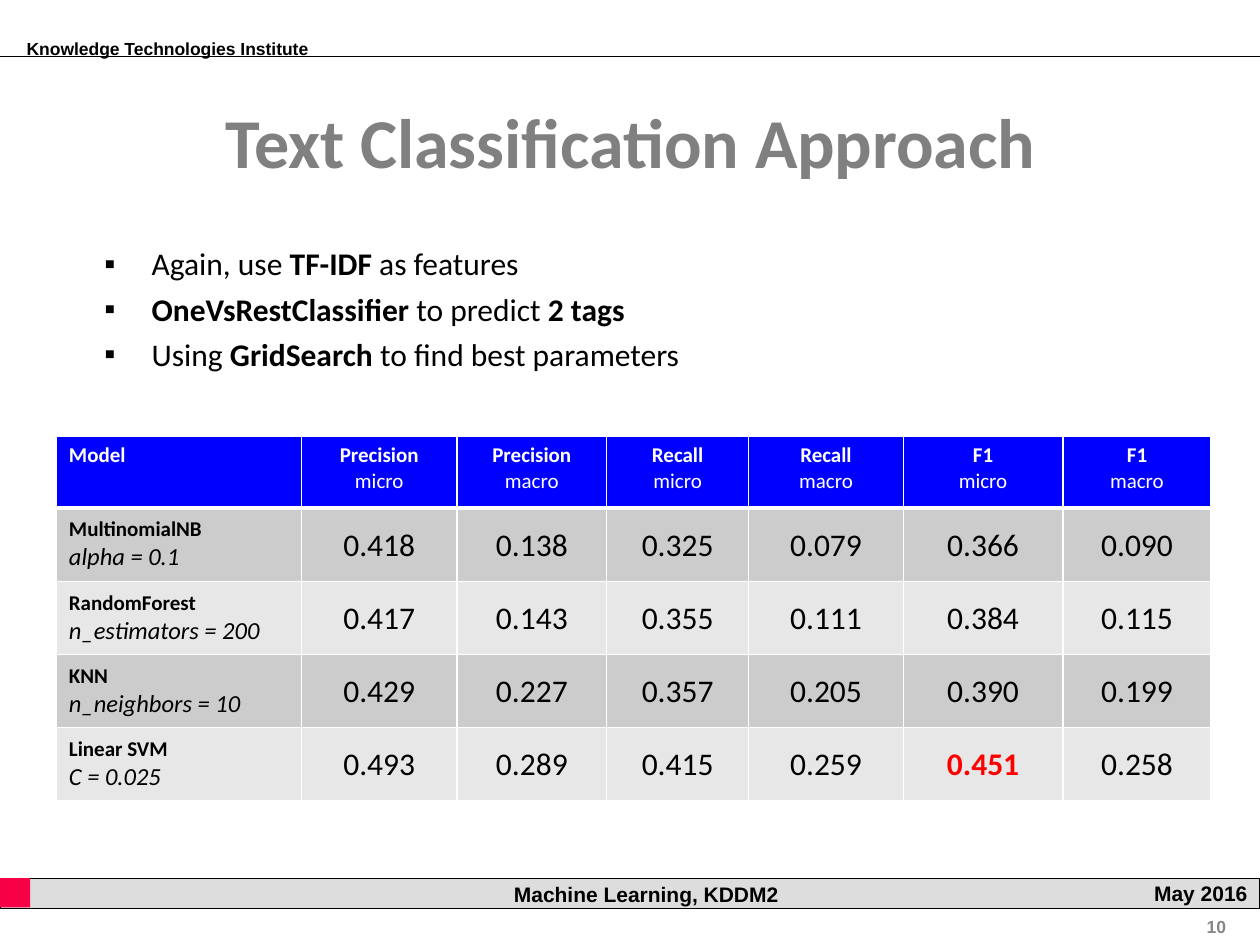
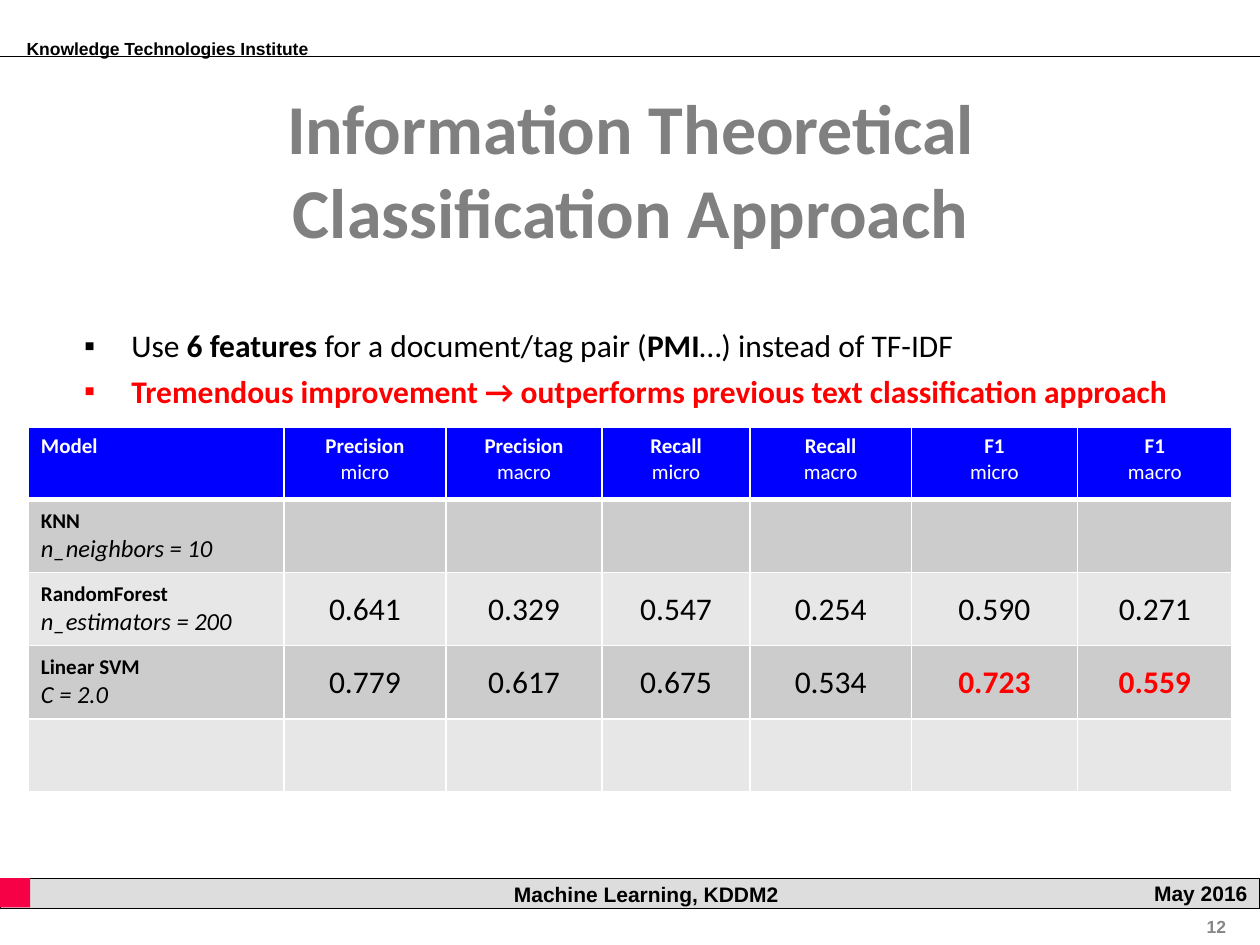
from pptx import Presentation
from pptx.dml.color import RGBColor as RGB
from pptx.enum.shapes import MSO_CONNECTOR as LINK, MSO_SHAPE as SHAPE
from pptx.enum.text import MSO_ANCHOR as ANCHOR, PP_ALIGN as ALIGN
from pptx.oxml.ns import qn
from pptx.util import Pt
from lxml.etree import SubElement

BLACK = RGB(0, 0, 0)
WHITE = RGB(255, 255, 255)
GRAY = RGB(0x80, 0x80, 0x80)
PALE = RGB(0x87, 0x87, 0x87)
BAR = RGB(0xDD, 0xDD, 0xDD)
PINK = RGB(0xF7, 0x01, 0x46)
BLUE = RGB(0, 0, 255)
RED = RGB(255, 0, 0)
BANDS = RGB(0xCC, 0xCC, 0xCC), RGB(0xE7, 0xE7, 0xE7)

COLS = 140.4, 89.2, 85.7, 81.4, 88.6, 91.4, 85
HEAD = ["Model"] + [f"{name}\n{kind}" for name in ("Precision", "Recall", "F1")
                    for kind in ("micro", "macro")]

SLIDES = [
    dict(
        page="10", title="Text Classification Approach",
        name_box=(36.7, 38.2, 647.3, 84.2),
        list_box=(52.6, 131.8, 564.5, 85), grid_box=(32.2, 249.4, 660, 208.2),
        items=[
            ("Again, use **TF-IDF** as features", BLACK),
            ("**OneVsRestClassifier** to predict **2 tags**", BLACK),
            ("Using **GridSearch** to find best parameters", BLACK),
        ],
        rows=[
            ("MultinomialNB\nalpha = 0.1", "0.418 0.138 0.325 0.079 0.366 0.090"),
            ("RandomForest\nn_estimators = 200", "0.417 0.143 0.355 0.111 0.384 0.115"),
            ("KNN\nn_neighbors = 10", "0.429 0.227 0.357 0.205 0.390 0.199"),
            ("Linear SVM\nC = 0.025", "0.493 0.289 0.415 0.259 *0.451 0.258"),
        ],
    ),
    dict(
        page="12", title="Information Theoretical\vClassification Approach",
        name_box=(36.7, 54, 647.3, 84.2),
        list_box=(41, 178.6, 651.6, 59), grid_box=(16.2, 244.4, 688, 208.2),
        items=[
            ("Use **6 features** for a document/tag pair (**PMI**…) instead of TF-IDF", BLACK),
            ("**Tremendous improvement → outperforms previous text "
             "classification approach**", RED),
        ],
        rows=[
            ("KNN\nn_neighbors = 10", ""),
            ("RandomForest\nn_estimators = 200", "0.641 0.329 0.547 0.254 0.590 0.271"),
            ("Linear SVM\nC = 2.0", "0.779 0.617 0.675 0.534 *0.723 *0.559"),
            ("", ""),
        ],
    ),
]


def style(para, face, size, color, bold=None, align=ALIGN.LEFT):
    """Set the font and alignment of a paragraph."""
    para.alignment = align
    font = para.font
    font.name, font.size, font.bold = face, Pt(size), bold
    font.color.rgb = color


def label(slide, box, text, size, color=BLACK, align=ALIGN.LEFT):
    """Add a bold one-line text box and return its frame."""
    frame = slide.shapes.add_textbox(*map(Pt, box)).text_frame
    frame.word_wrap = True
    frame.text = text
    style(frame.paragraphs[0], "Arial", size, color, True, align)
    return frame


def block(slide, box, color):
    """Add a plain filled rectangle."""
    shape = slide.shapes.add_shape(SHAPE.RECTANGLE, *map(Pt, box))
    shape.shadow.inherit = False
    shape.fill.solid()
    shape.fill.fore_color.rgb = color
    shape.line.fill.background()
    return shape


def header(slide, box):
    """Draw the institute name above a full-width rule."""
    left, top, width, height = box
    base = top + height
    rule = slide.shapes.add_connector(
        LINK.STRAIGHT, Pt(left), Pt(base), Pt(left + width), Pt(base))
    rule.line.color.rgb = BLACK
    rule.line.width = Pt(0.75)
    SubElement(rule._element.spPr, qn("a:effectLst"))
    frame = label(slide, (left + 9.4, base - 14.4, 176.4, 19.4),
                  "Knowledge Technologies Institute", 10)
    frame.margin_left = Pt(5.8)
    frame.word_wrap = False


def footer(slide, box, page):
    """Draw the bottom band with date, course and page number."""
    left, top, width, height = box
    band = block(slide, box, BAR)
    band.line.color.rgb = BLACK
    band.line.width = Pt(0.5)
    frame = band.text_frame
    frame.text = "May 2016"
    frame.vertical_anchor = ANCHOR.MIDDLE
    style(frame.paragraphs[0], "Arial", 12, BLACK, True, ALIGN.RIGHT)
    block(slide, (left, top, height, height - 0.5), PINK)
    label(slide, (left + 252.7, top - 1.4, 233.3, height),
          "Machine Learning, KDDM2", 12, align=ALIGN.CENTER)
    label(slide, (left + width - 85, top + 18, 72.7, 19.4),
          page, 10, PALE, ALIGN.RIGHT)


def heading(slide, box, text):
    """Place and format the title."""
    title = slide.shapes.title
    title.left, title.top, title.width, title.height = map(Pt, box)
    frame = title.text_frame
    frame.text = text
    frame.word_wrap = True
    frame.vertical_anchor = ANCHOR.MIDDLE
    style(frame.paragraphs[0], "Calibri", 40, GRAY, True, ALIGN.CENTER)


def bullets(slide, box, items):
    """Write bulleted lines, with bold parts between double stars."""
    frame = slide.shapes.add_textbox(*map(Pt, box)).text_frame
    frame.word_wrap = True
    for i, (text, color) in enumerate(items):
        para = frame.add_paragraph() if i else frame.paragraphs[0]
        para.line_spacing = 1.2
        props = para._p.get_or_add_pPr()
        props.set("marL", str(Pt(27)))
        props.set("indent", str(-Pt(27)))
        SubElement(props, qn("a:buFont"), typeface="Arial")
        SubElement(props, qn("a:buChar"), char="▪")
        style(para, "Calibri", 18, color)
        for j, part in enumerate(text.split("**")):
            if part:
                run = para.add_run()
                run.text = part
                run.font.bold = j % 2 == 1


def paint(cell, color, above=1, below=1):
    """Give a cell its white borders and its fill."""
    props = cell._tc.get_or_add_tcPr()
    for side, width in zip("LRTB", (1, 1, above, below)):
        line = SubElement(props, qn(f"a:ln{side}"), w=str(Pt(width)))
        fill = SubElement(line, qn("a:solidFill"))
        SubElement(fill, qn("a:srgbClr"), val=str(WHITE))
    cell.fill.solid()
    cell.fill.fore_color.rgb = color


def pair(cell, text, color, align=ALIGN.LEFT, size=12, slant=False):
    """Write a bold line with a lighter second line below it."""
    para = cell.text_frame.paragraphs[0]
    style(para, "Calibri", 12, color, align=align)
    for i, part in enumerate(text.split("\n")):
        if i:
            para.add_line_break()
        run = para.add_run()
        run.text = part
        run.font.bold = i == 0
        if i:
            run.font.size, run.font.italic = Pt(size), slant


def score(cell, text):
    """Write a centred value, red and bold where starred."""
    cell.margin_left = cell.margin_right = cell.margin_top = Pt(0.7)
    cell.margin_bottom = 0
    best = text.startswith("*")
    cell.text = text.lstrip("*")
    style(cell.text_frame.paragraphs[0], "Calibri", 18,
          RED if best else BLACK, best, ALIGN.CENTER)


def grid(slide, box, rows):
    """Build the table of model scores."""
    table = slide.shapes.add_table(len(rows) + 1, len(COLS), *map(Pt, box)).table
    for col, width in zip(table.columns, COLS):
        col.width = Pt(round(width * box[2] / sum(COLS), 2))
    for i, row in enumerate(table.rows):
        row.height = Pt(41.8 if i else 41)
    for j, text in enumerate(HEAD):
        cell = table.cell(0, j)
        paint(cell, BLUE, below=3)
        pair(cell, text, WHITE, ALIGN.CENTER if j else ALIGN.LEFT)
    for i, (model, values) in enumerate(rows, 1):
        for j in range(len(COLS)):
            cell = table.cell(i, j)
            paint(cell, BANDS[(i - 1) % 2], above=3 if i == 1 else 1)
            cell.vertical_anchor = ANCHOR.MIDDLE
        if model:
            pair(table.cell(i, 0), model, BLACK, size=14, slant=True)
        for j, text in enumerate(values.split(), 1):
            score(table.cell(i, j), text)


def build(deck, page, title, name_box, list_box, grid_box, items, rows):
    """Add one result slide."""
    slide = deck.slides.add_slide(deck.slide_layouts[5])
    header(slide, (0, 0, 720, 32.4))
    footer(slide, (0, 501.8, 720, 17.3), page)
    heading(slide, name_box, title)
    bullets(slide, list_box, items)
    grid(slide, grid_box, rows)


def main():
    """Build and save the deck."""
    deck = Presentation()
    deck.slide_width, deck.slide_height = Pt(720), Pt(540)
    for data in SLIDES:
        build(deck, **data)
    deck.save("out.pptx")


if __name__ == "__main__":
    main()
